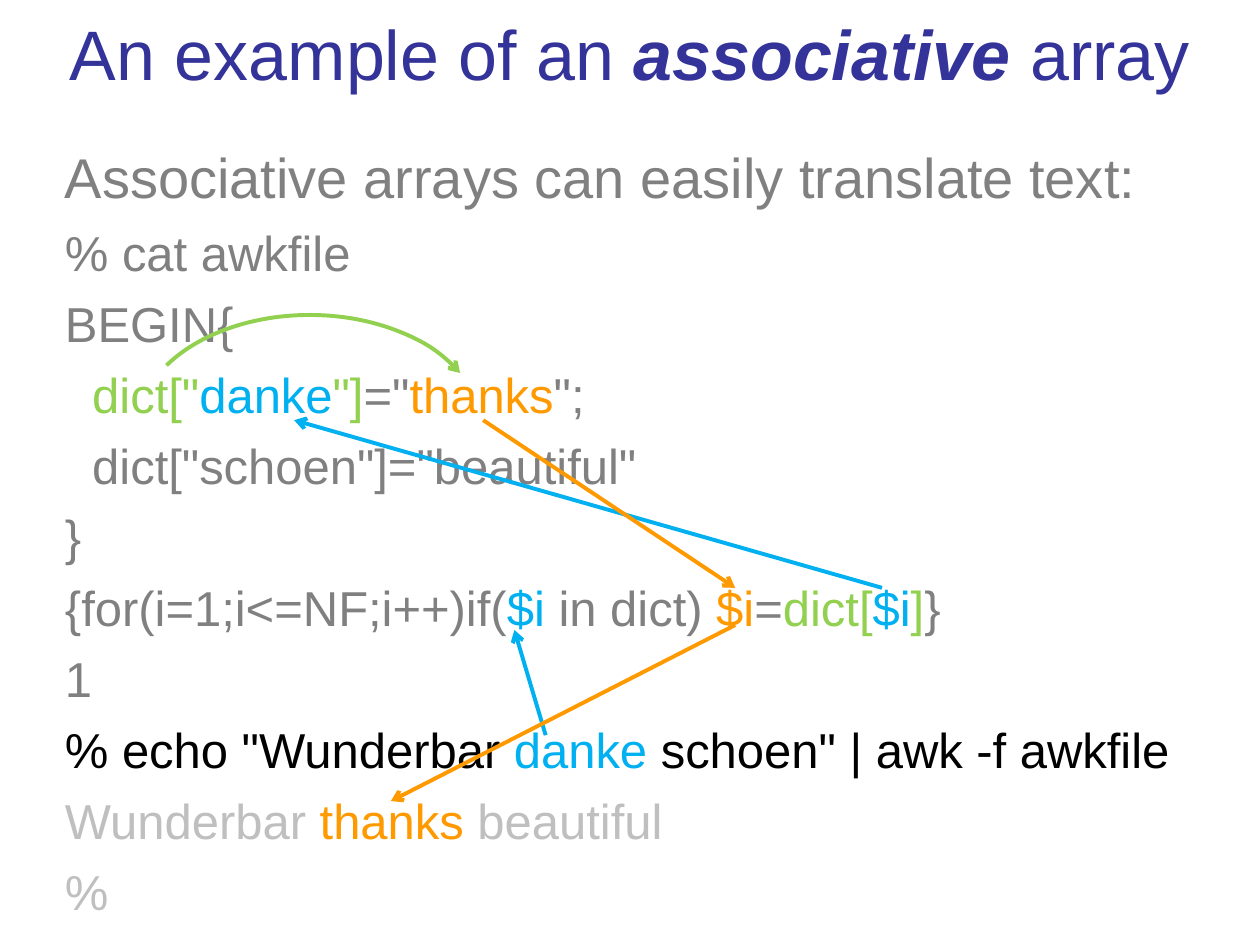
import pptx
import pptx.util
import pptx.dml.color
import pptx.enum.shapes
import pptx.enum.text
import lxml.etree
import pptx.oxml.ns

Cm = pptx.util.Cm
Pt = pptx.util.Pt
RGBColor = pptx.dml.color.RGBColor
qn = pptx.oxml.ns.qn

NAVY = RGBColor(0x33, 0x33, 0x99)
GRAY = RGBColor(0x80, 0x80, 0x80)
SILVER = RGBColor(0xBF, 0xBF, 0xBF)
BLACK = RGBColor(0x00, 0x00, 0x00)
GREEN = RGBColor(0x92, 0xD0, 0x50)
BLUE = RGBColor(0x00, 0xB0, 0xF0)
ORANGE = RGBColor(0xFF, 0x99, 0x00)


def add_span(para, text, size=28, color=GRAY, emphasis=False):
    span = para.add_run()
    span.text = text
    span.font.name = "Arial"
    span.font.size = Pt(size)
    span.font.color.rgb = color
    span.font.bold = emphasis
    span.font.italic = emphasis


def style_arrow(arrow, color):
    arrow.line.color.rgb = color
    arrow.line.width = Pt(2.25)
    outline = arrow.line._get_or_add_ln()
    lxml.etree.SubElement(outline, qn("a:tailEnd"), type="arrow")


deck = pptx.Presentation()
deck.slide_width = Cm(25.4)
deck.slide_height = Cm(19.05)
page = deck.slides.add_slide(deck.slide_layouts[6])

title_box = page.shapes.add_textbox(Cm(0.42), Cm(0), Cm(24.55), Cm(2.12))
title_box.text_frame.word_wrap = True
title_box.text_frame.vertical_anchor = pptx.enum.text.MSO_ANCHOR.MIDDLE
title = title_box.text_frame.paragraphs[0]
title.alignment = pptx.enum.text.PP_ALIGN.CENTER
add_span(title, "An example of an ", size=40, color=NAVY)
add_span(title, "associative", size=40, color=NAVY, emphasis=True)
add_span(title, " array", size=40, color=NAVY)

body_box = page.shapes.add_textbox(Cm(1.06), Cm(2.75), Cm(23.5), Cm(16.09))
body_box.text_frame.word_wrap = True
intro = body_box.text_frame.paragraphs[0]
intro.space_before = Pt(7)
add_span(intro, "Associative arrays can easily translate text:", size=32)

code_lines = [
    (0, [("% cat awkfile", GRAY)]),
    (0, [("BEGIN{", GRAY)]),
    (0.55, [('dict["', GREEN), ("danke", BLUE), ('"]', GREEN),
            ('="', GRAY), ("thanks", ORANGE), ('";', GRAY)]),
    (0.55, [('dict["schoen"]="beautiful"', GRAY)]),
    (0, [("}", GRAY)]),
    (0, [("{for(i=1;i<=NF;i++)if(", GRAY), ("$i ", BLUE), ("in dict) ", GRAY),
         ("$i", ORANGE), ("=", GRAY), ("dict[", GREEN), ("$i", BLUE),
         ("]", GREEN), ("}", GRAY)]),
    (0, [("1", GRAY)]),
    (0, [('% echo "Wunderbar ', BLACK), ("danke ", BLUE),
         ('schoen" | awk -f awkfile', BLACK)]),
    (0, [("Wunderbar ", SILVER), ("thanks", ORANGE), (" beautiful", SILVER)]),
    (0, [("%", SILVER)]),
]
for indent, spans in code_lines:
    para = body_box.text_frame.add_paragraph()
    para.space_before = Pt(7)
    para._p.get_or_add_pPr().set("marL", str(Cm(indent)))
    for text, color in spans:
        add_span(para, text, color=color)

arc = page.shapes.add_shape(
    pptx.enum.shapes.MSO_SHAPE.ARC, Cm(2.75), Cm(6.35), Cm(6.99), Cm(4.66))
arc.shadow.inherit = False
arc.fill.background()
arc.adjustments[0] = 122.68
arc.adjustments[1] = 203.44
style_arrow(arc, GREEN)

arrows = [
    (11, 14.82, 10.37, 12.7, BLUE),
    (17.78, 11.85, 5.93, 8.47, BLUE),
    (9.74, 8.47, 14.82, 11.85, ORANGE),
    (14.82, 12.6, 7.88, 16.15, ORANGE),
]
for left, top, right, bottom, color in arrows:
    arrow = page.shapes.add_connector(
        pptx.enum.shapes.MSO_CONNECTOR.STRAIGHT,
        Cm(left), Cm(top), Cm(right), Cm(bottom))
    style_arrow(arrow, color)
    lxml.etree.SubElement(arrow._element.spPr, qn("a:effectLst"))

deck.save("out.pptx")
